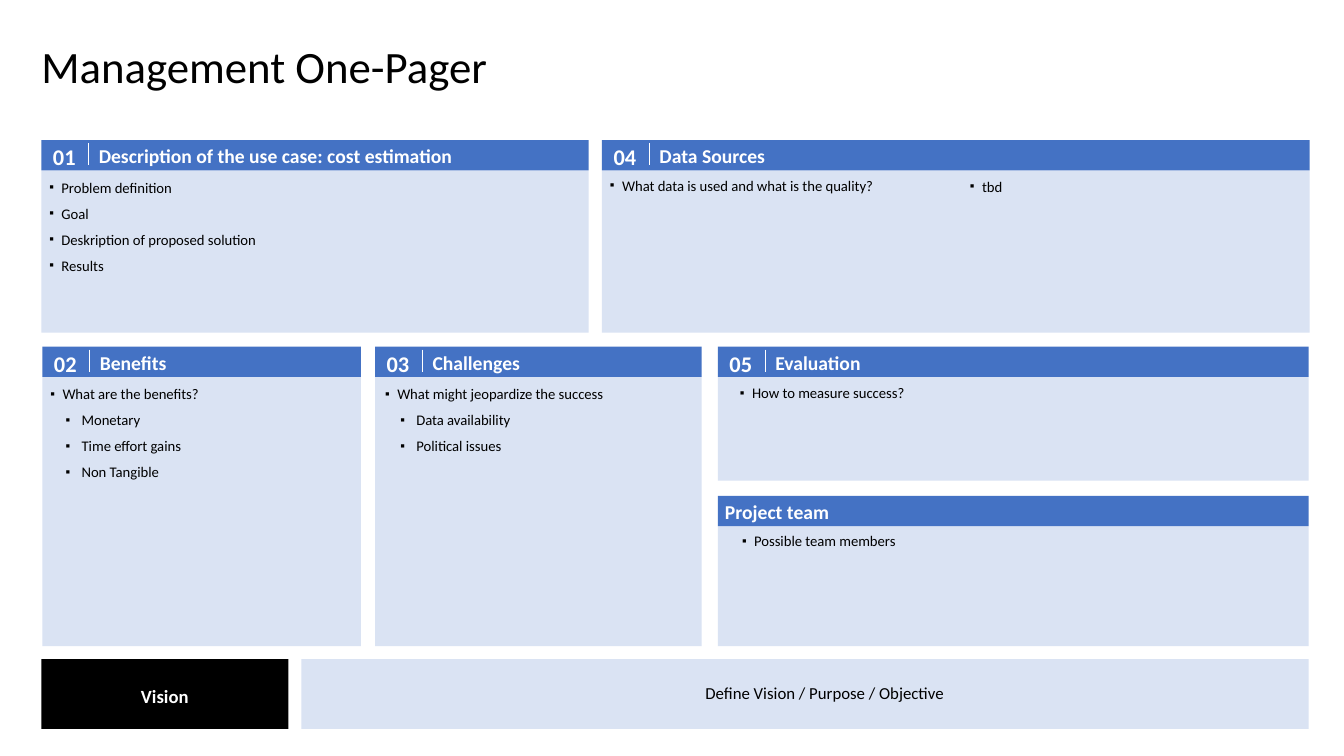
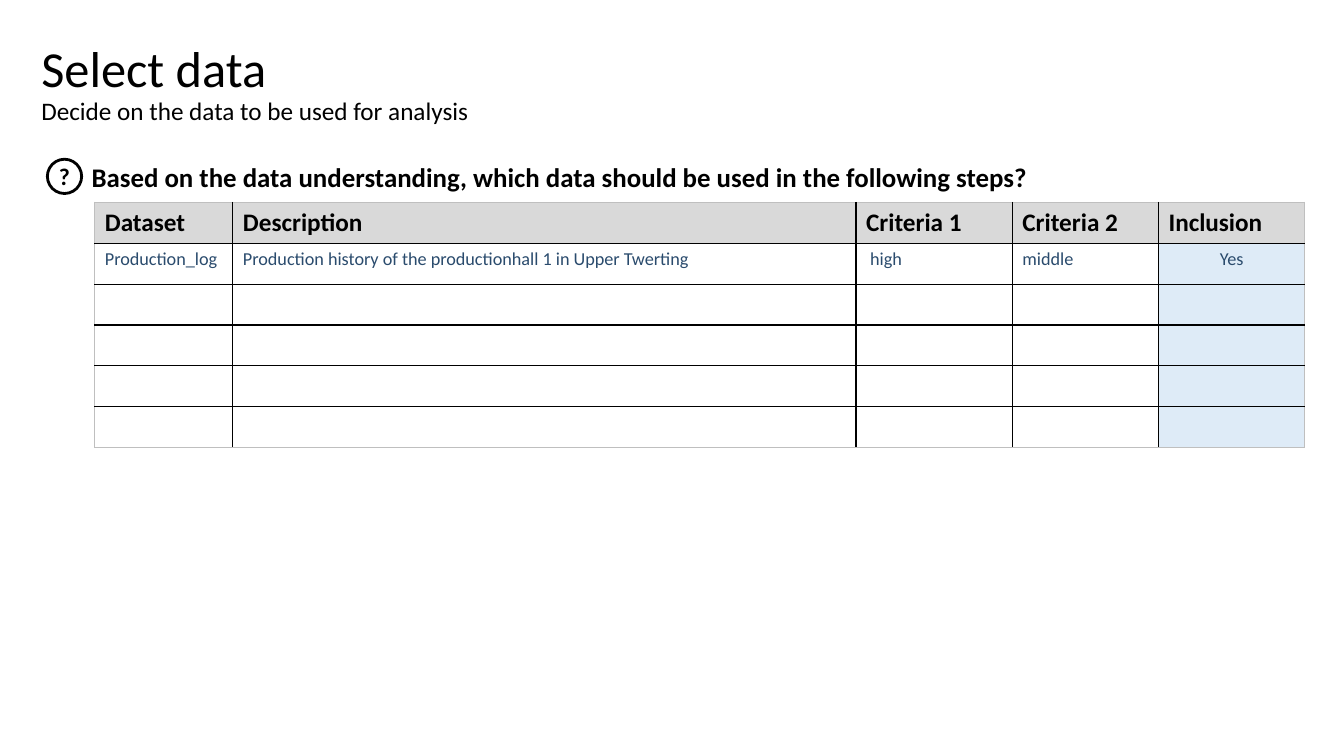
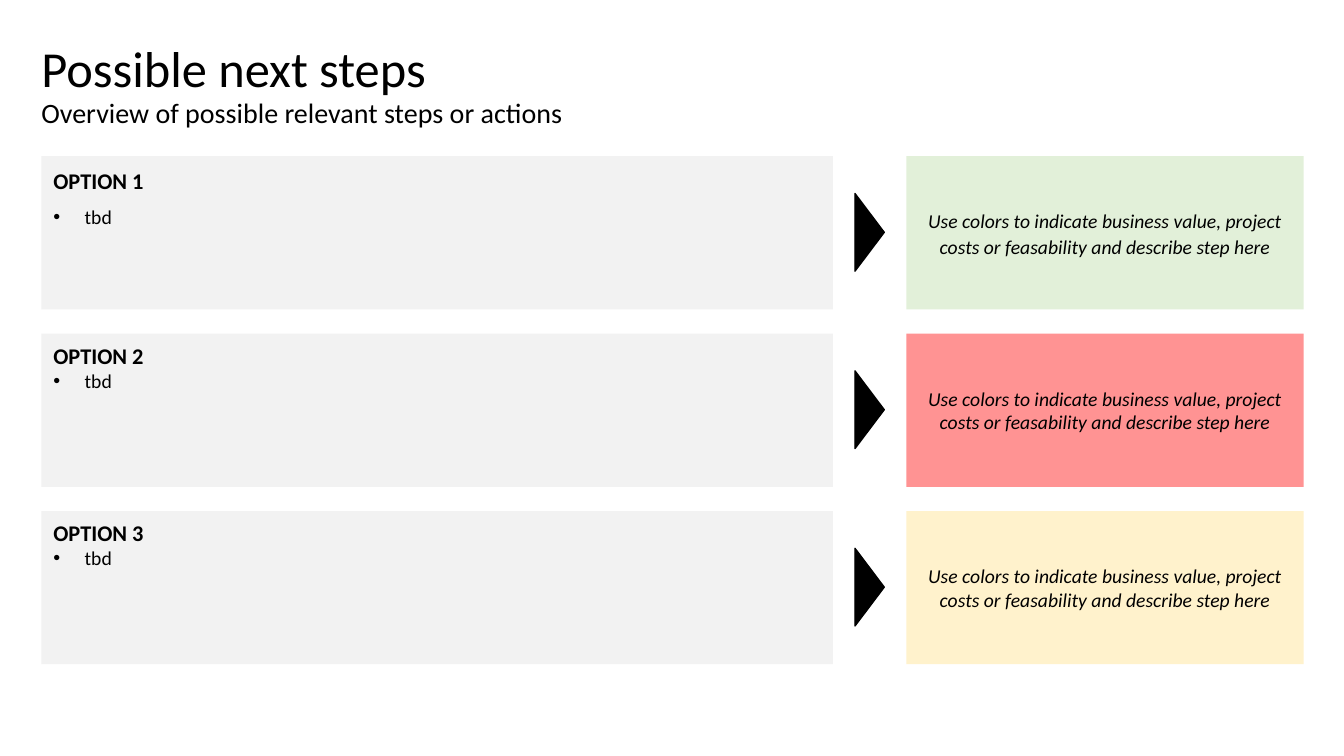
"""Build a management one-pager, a data selection table and a next steps overview."""
import pptx
import pptx.util
import pptx.dml.color
import pptx.enum.shapes
import pptx.enum.text
import pptx.oxml
import pptx.oxml.ns
import lxml.etree

Inches = pptx.util.Inches
Pt = pptx.util.Pt
RGB = pptx.dml.color.RGBColor
ALIGN = pptx.enum.text.PP_ALIGN
ANCHOR = pptx.enum.text.MSO_ANCHOR
SHAPE = pptx.enum.shapes.MSO_SHAPE
qn = pptx.oxml.ns.qn

FONT = "Calibri"
BLACK = RGB(0x00, 0x00, 0x00)
WHITE = RGB(0xFF, 0xFF, 0xFF)
BLUE = RGB(0x44, 0x72, 0xC4)
PALE = RGB(0xDA, 0xE3, 0xF3)
ICE = RGB(0xDE, 0xEB, 0xF7)
NAVY = RGB(0x2A, 0x4B, 0x6D)
GRAY = RGB(0xD9, 0xD9, 0xD9)
EDGE = RGB(0xBF, 0xBF, 0xBF)
MIST = RGB(0xF2, 0xF2, 0xF2)
GREEN = RGB(0xE2, 0xF0, 0xD9)
RED = RGB(0xFF, 0x93, 0x93)
CREAM = RGB(0xFF, 0xF2, 0xCC)


def add_box(slide, x, y, w, h, fill=None, pad=(0, 0, 0, 0), kind=SHAPE.RECTANGLE):
    """Add a filled shape, or a text box when there is no fill."""
    place = [Inches(n) for n in (x, y, w, h)]
    if fill is None:
        box = slide.shapes.add_textbox(*place)
    else:
        box = slide.shapes.add_shape(kind, *place)
        box.shadow.inherit = False
        box.fill.solid()
        box.fill.fore_color.rgb = fill
        box.line.fill.background()
    frame = box.text_frame
    frame.word_wrap = True
    frame.margin_left, frame.margin_top, frame.margin_right, frame.margin_bottom = map(Inches, pad)
    return box


def add_text(frame, text, size, color=BLACK, bold=False, align=ALIGN.LEFT, mark=None, left=0, hang=0):
    """Write one paragraph, with a bullet when a mark is given."""
    par = frame.paragraphs[0]
    if par.runs:
        par = frame.add_paragraph()
    par.text = text
    par.alignment = align
    par.font.name = FONT
    par.font.size = Pt(size)
    par.font.bold = bold
    par.font.color.rgb = color
    if mark:
        props = par._p.get_or_add_pPr()
        props.set("marL", str(Inches(left)))
        props.set("indent", str(Inches(-hang)))
        if mark == "▪":
            lxml.etree.SubElement(props, qn("a:buSzPct")).set("val", "90000")
        lxml.etree.SubElement(props, qn("a:buFont")).set("typeface", "Arial")
        lxml.etree.SubElement(props, qn("a:buChar")).set("char", mark)
    return par


deck = pptx.Presentation()
deck.slide_width = Inches(13.33)
deck.slide_height = Inches(7.5)
layout = deck.slide_layouts[5]
head = layout.placeholders[0]
head.left, head.top, head.width, head.height = map(Inches, (0.41, 0.44, 12.52, 0.71))
frame = head.text_frame
frame.margin_left = frame.margin_top = frame.margin_right = frame.margin_bottom = 0
frame.vertical_anchor = ANCHOR.TOP
frame.auto_size = pptx.enum.text.MSO_AUTO_SIZE.NONE

titles = [
    [("Management One-Pager", 32)],
    [("Select data", 36), ("Decide on the data to be used for analysis", 18)],
    [("Possible next steps", 36), ("Overview of possible relevant steps or actions", 20)],
]
slides = []
for lines in titles:
    slide = deck.slides.add_slide(layout)
    slides.append(slide)
    par = slide.shapes.title.text_frame.paragraphs[0]
    par.alignment = ALIGN.LEFT
    par.line_spacing = 0.9
    par.font.name = FONT
    par.font.color.rgb = BLACK
    for rank, (text, size) in enumerate(lines):
        if rank:
            par.add_line_break()
        run = par.add_run()
        run.text = text
        run.font.size = Pt(size)
pager, select, steps = slides

BAND = 0.3
panels = [
    ("01", "Description of the use case: cost estimation", 0.41, 1.39, 5.43, 1.61),
    ("04", "Data Sources", 5.97, 1.39, 7.02, 1.61),
    ("02", "Benefits", 0.42, 3.44, 3.16, 2.67),
    ("03", "Challenges", 3.72, 3.44, 3.24, 2.67),
    ("05", "Evaluation", 7.12, 3.44, 5.86, 1.03),
    ("", "Project team", 7.12, 4.92, 5.86, 1.19),
]
for num, name, x, y, w, h in panels:
    add_box(pager, x, y + BAND, w, h, PALE)
    add_box(pager, x, y, w, BAND, BLUE)
    inset = 0.57 if num else 0.07
    label = add_box(pager, x + inset, y + 0.04, 3.7 if w == 5.43 else 2, 0.24)
    add_text(label.text_frame, name, 14, WHITE, True)
    if num:
        label = add_box(pager, x - 0.26, y + 0.03, 0.6, 0.27)
        add_text(label.text_frame, num, 16, WHITE, True, ALIGN.RIGHT)
        bar = pager.shapes.add_connector(
            pptx.enum.shapes.MSO_CONNECTOR.STRAIGHT,
            Inches(x + 0.47), Inches(y + 0.03), Inches(x + 0.47), Inches(y + 0.25))
        bar.line.color.rgb = WHITE
        bar.line.width = Pt(1)
        lxml.etree.SubElement(bar._element.spPr, qn("a:effectLst"))

lists = [
    (0.41, 1.69, 5.44, 1.6, ["Problem definition", "Goal", "Deskription of proposed solution", "Results"], []),
    (5.97, 1.67, 3.51, 1.59, ["What data is used and what is the quality?"], []),
    (9.54, 1.68, 3.38, 1.59, ["tbd"], []),
    (0.42, 3.74, 3.02, 1.96, ["What are the benefits?"], ["Monetary", "Time effort gains", "Non Tangible"]),
    (3.74, 3.74, 3.22, 1.96, ["What might jeopardize the success"], ["Data availability", "Political issues"]),
    (7.26, 3.73, 5.64, 0.95, ["How to measure success?"], []),
    (7.28, 5.2, 5.64, 0.95, ["Possible team members"], []),
]
PAD = (0.08, 0.08, 0.04, 0)
for x, y, w, h, points, subs in lists:
    frame = add_box(pager, x, y, w, h, pad=PAD).text_frame
    for level, group in enumerate((points, subs)):
        for text in group:
            par = add_text(frame, text, 10.5, mark="▪", left=(0.12, 0.31)[level], hang=0.16)
            par.level = level
            par.space_before = Pt(6)

add_box(pager, 2.99, 6.54, 9.99, 0.69, PALE)
vision = add_box(pager, 0.41, 6.54, 2.45, 0.69, BLACK, (0.12, 0.08, 0.12, 0.04))
vision.text_frame.vertical_anchor = ANCHOR.MIDDLE
vision.text_frame.word_wrap = False
add_text(vision.text_frame, "Vision", 13.3, WHITE, True, ALIGN.CENTER)
goal = add_box(pager, 5.34, 6.69, 5.64, 0.41, pad=PAD)
par = add_text(goal.text_frame, "Define Vision / Purpose / Objective", 12, align=ALIGN.CENTER)
par.space_before = Pt(6)

ask = add_box(select, 0.81, 1.53, 11.9, 0.71, pad=(0.1, 0.05, 0.1, 0.05))
text = "Based on the data understanding, which data should be used in the following steps?"
add_text(ask.text_frame, text, 19.2, bold=True).line_spacing = 1.06
icon = add_box(select, 0.47, 1.58, 0.34, 0.34, WHITE, kind=SHAPE.OVAL)
icon.line.color.rgb = BLACK
icon.line.width = Pt(2)
icon.text_frame.vertical_anchor = ANCHOR.MIDDLE
icon.text_frame.word_wrap = False
add_text(icon.text_frame, "?", 17, bold=True, align=ALIGN.CENTER)

ROWS = 6
widths = [1.37, 6.18, 1.55, 1.45, 1.45]
cells = [
    ["Dataset", "Description", "Criteria 1", "Criteria 2", "Inclusion"],
    ["Production_log", "Production history of the productionhall 1 in Upper Twerting", " high", "middle", "Yes"],
]
last = len(widths) - 1
table = select.shapes.add_table(
    ROWS, len(widths), Inches(0.94), Inches(2.01), Inches(sum(widths)), Inches(2.43)).table
table.first_row = table.horz_banding = False
for col, width in enumerate(widths):
    table.columns[col].width = Inches(width)
    for row in range(ROWS):
        cell = table.cell(row, col)
        props = cell._tc.get_or_add_tcPr()
        sides = {"L": col == 0, "R": col == last, "T": row == 0, "B": row == ROWS - 1}
        for side, outer in sides.items():
            props.append(pptx.oxml.parse_xml(
                f'<a:ln{side} xmlns:a="http://schemas.openxmlformats.org/drawingml/2006/main" w="12700">'
                f'<a:solidFill><a:srgbClr val="{EDGE if outer else BLACK}"/></a:solidFill></a:ln{side}>'))
        if row == 0 or col == last:
            cell.fill.solid()
            cell.fill.fore_color.rgb = ICE if row else GRAY
        else:
            cell.fill.background()
        if row == 0:
            add_text(cell.text_frame, cells[row][col], 18, bold=True)
        elif row < len(cells):
            align = ALIGN.CENTER if col == last else ALIGN.LEFT
            add_text(cell.text_frame, cells[row][col], 13, NAVY, align=align)

HINT = "Use colors to indicate business value, project costs or feasability and describe step here"
INSET = (0.12, 0.08, 0.12, 0.08)
for rank, color in enumerate((GREEN, RED, CREAM)):
    y = 1.55 + 1.76 * rank
    card = add_box(steps, 0.41, y, 7.85, 1.52, MIST, INSET)
    card.text_frame.vertical_anchor = ANCHOR.TOP
    hint = add_box(steps, 8.99, y, 3.94, 1.52, color, INSET)
    hint.text_frame.vertical_anchor = ANCHOR.MIDDLE
    pars = [
        add_text(card.text_frame, f"OPTION {rank + 1}", 16, bold=True),
        add_text(card.text_frame, "tbd", 14, mark="•", left=0.31, hang=0.31),
        add_text(hint.text_frame, HINT, 14, align=ALIGN.CENTER),
    ]
    pars[-1].font.italic = True
    if rank == 0:
        for par in pars:
            par.line_spacing = 1.1
            par.space_before = Pt(6)
    arrow = add_box(steps, 8.24, y + 0.61, 0.77, 0.29, BLACK, kind=SHAPE.ISOSCELES_TRIANGLE)
    arrow.rotation = 90
    arrow.line.color.rgb = BLACK
    arrow.line.width = Pt(1)

deck.save("out.pptx")
